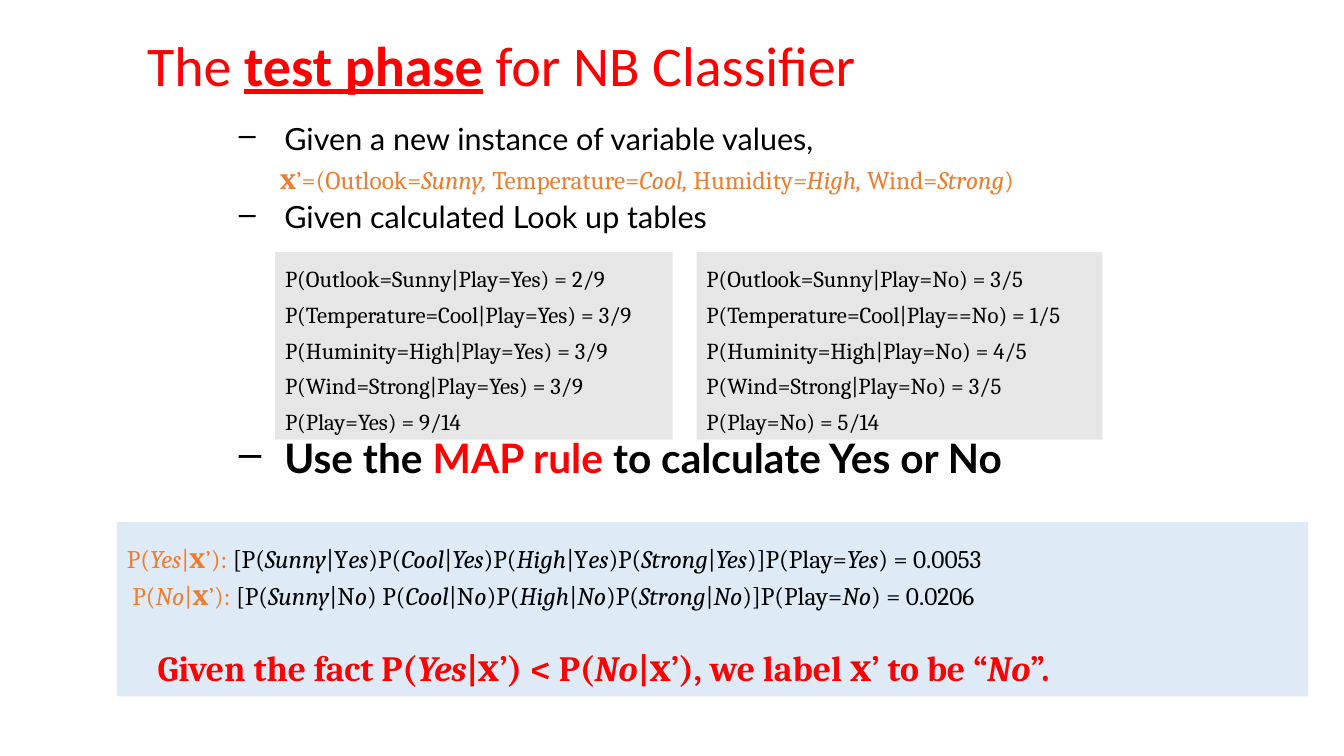
from lxml import etree
from pptx import Presentation
from pptx import util as u
from pptx.dml.color import RGBColor
from pptx.enum import shapes, text
from pptx.oxml import ns

RED = RGBColor(0xFF, 0x00, 0x00)
ORANGE = RGBColor(0xED, 0x7D, 0x31)
BLACK = RGBColor(0x00, 0x00, 0x00)
WHITE = RGBColor(0xFF, 0xFF, 0xFF)
GRAY = RGBColor(0xE7, 0xE6, 0xE6)
BLUE = RGBColor(0xDE, 0xEB, 0xF7)

# In the strings below, *...* is italic and ^...^ takes the emphasis format.
TITLE = [("The ^test phase^ for NB Classifier", RED)]
GIVEN_INSTANCE = [("Given a new instance of variable values,", BLACK)]
INSTANCE = [("^x^’=(Outlook=*Sunny, *Temperature=*Cool, *Humidity*=High, *Wind=*Strong*)", ORANGE)]
GIVEN_TABLES = [("Given calculated Look up tables", BLACK)]
MAP_RULE = [("Use the ", BLACK), ("MAP rule ", RED), ("to calculate Yes or No", BLACK)]
LOOKUPS = [
    (196.5, 284, [
        "P(Outlook=Sunny|Play=Yes) = 2/9",
        "P(Temperature=Cool|Play=Yes) = 3/9",
        "P(Huminity=High|Play=Yes) = 3/9",
        "P(Wind=Strong|Play=Yes) = 3/9",
        "P(Play=Yes) = 9/14",
    ]),
    (497.5, 290, [
        "P(Outlook=Sunny|Play=No) = 3/5",
        "P(Temperature=Cool|Play==No) = 1/5",
        "P(Huminity=High|Play=No) = 4/5",
        "P(Wind=Strong|Play=No) = 3/5",
        "P(Play=No) = 5/14",
    ]),
]
YES_SCORE = [
    ("P(*Yes*|^x^’):", ORANGE),
    (" [P(*Sunny*|Y*es*)P(*Cool*|*Yes*)P(*High*|Y*es*)P(*Strong*|*Yes*)]P(Play=*Yes*) = 0.0053", BLACK),
]
NO_SCORE = [
    ("P(*No*|^x^’):", ORANGE),
    (" [P(*Sunny*|N*o*) P(*Cool*|N*o*)P(*High*|*No*)P(*Strong*|*No*)]P(Play=*No*) = 0.0206", BLACK),
]
DECISION = [("Given the fact P(*Yes*|^x^’) < P(*No*|^x^’), we label ^x^ to be “*No*”.".replace("^x^ to", "^x^’ to"), RED)]


def add_box(page, left, top, width, height, fill=None, anchor=text.MSO_ANCHOR.TOP):
    if fill is None:
        box = page.shapes.add_textbox(u.Pt(left), u.Pt(top), u.Pt(width), u.Pt(height))
    else:
        box = page.shapes.add_shape(shapes.MSO_SHAPE.RECTANGLE, u.Pt(left), u.Pt(top), u.Pt(width), u.Pt(height))
        box.shadow.inherit = False
        box.fill.solid()
        box.fill.fore_color.rgb = fill
        box.line.fill.background()
    box.text_frame.word_wrap = True
    box.text_frame.vertical_anchor = anchor
    return box.text_frame


def write(frame, segments, font="Cambria", size=18.1, bold=False, emphasis_size=None,
          underline=False, spacing=1.3, before=0, margin=0, indent=0, bullet=None):
    first = frame.paragraphs[0]
    para = frame.add_paragraph() if first.runs else first
    para.alignment = text.PP_ALIGN.LEFT
    para.line_spacing = spacing
    para.space_before = u.Pt(before)
    props = para._p.get_or_add_pPr()
    props.set("marL", str(u.Pt(margin)))
    props.set("indent", str(u.Pt(indent)))
    if bullet:
        etree.SubElement(props, ns.qn("a:buChar")).set("char", bullet)
    for content, color in segments:
        for i, part in enumerate(content.split("^")):
            emphasized = i % 2 == 1
            for j, piece in enumerate(part.split("*")):
                if not piece:
                    continue
                span = para.add_run()
                span.text = piece
                span.font.name = font
                span.font.size = u.Pt(emphasis_size if emphasized and emphasis_size else size)
                span.font.bold = bold or emphasized
                span.font.italic = j % 2 == 1
                span.font.underline = underline and emphasized
                span.font.color.rgb = color


def main():
    deck = Presentation()
    deck.slide_width, deck.slide_height = u.Pt(960), u.Pt(540)
    page = deck.slides.add_slide(deck.slide_layouts[6])

    title = add_box(page, 98, 3.6, 764, 90, WHITE, text.MSO_ANCHOR.MIDDLE)
    write(title, TITLE, font="Calibri", size=40, underline=True, spacing=0.9)

    steps = add_box(page, 126, 85, 723.6, 439)
    step = dict(font="Lato", size=21.8, spacing=0.9, margin=70, indent=-32.4, bullet="–")
    write(steps, GIVEN_INSTANCE, **step)
    write(steps, INSTANCE, emphasis_size=21.8, spacing=0.9, before=4.4, margin=70, indent=-3)
    write(steps, GIVEN_TABLES, **{**step, "before": 4.4})
    write(steps, MAP_RULE, **{**step, "size": 29, "bold": True, "before": 145})

    for left, width, lines in LOOKUPS:
        lookup = add_box(page, left, 180, width, 134, GRAY)
        for line in lines:
            write(lookup, [(line, BLACK)], size=16.3)

    scores = add_box(page, 83.5, 373, 851, 124.5, BLUE)
    write(scores, YES_SCORE, emphasis_size=21.8)
    write(scores, NO_SCORE, emphasis_size=21.8, spacing=1.0, margin=4)
    write(scores, DECISION, size=25.4, bold=True, emphasis_size=29, before=11, margin=22)

    deck.save("out.pptx")


if __name__ == "__main__":
    main()
